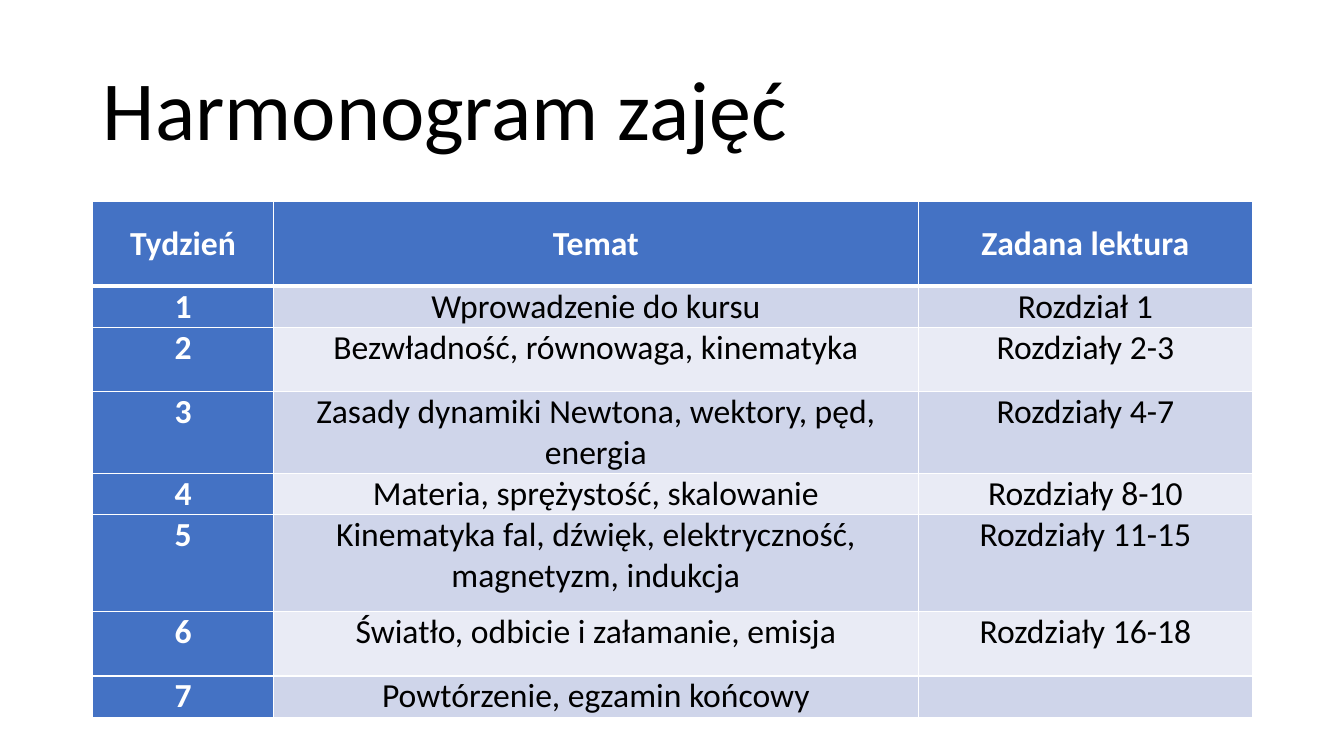
import pptx
import pptx.dml.color
import pptx.enum.text
import pptx.oxml
import pptx.oxml.ns
import pptx.util

Inches = pptx.util.Inches
RGBColor = pptx.dml.color.RGBColor
Anchor = pptx.enum.text.MSO_ANCHOR
Align = pptx.enum.text.PP_ALIGN

BLACK = RGBColor(0x00, 0x00, 0x00)
WHITE = RGBColor(0xFF, 0xFF, 0xFF)
BLUE = RGBColor(0x44, 0x72, 0xC4)
BAND_DARK = RGBColor(0xCF, 0xD5, 0xEA)
BAND_LIGHT = RGBColor(0xE9, 0xEB, 0xF5)

COLUMN_WIDTHS = [1.79, 6.4, 3.31]
ROW_HEIGHTS = [0.84, 0.35, 0.64, 0.64, 0.35, 0.96, 0.64, 0.35]
HEADER = ("Tydzień", "Temat", "Zadana lektura")
TOPICS = [
    ("Wprowadzenie do kursu", "Rozdział 1"),
    ("Bezwładność, równowaga, kinematyka", "Rozdziały 2-3"),
    ("Zasady dynamiki Newtona, wektory, pęd, energia", "Rozdziały 4-7"),
    ("Materia, sprężystość, skalowanie", "Rozdziały 8-10"),
    ("Kinematyka fal, dźwięk, elektryczność, magnetyzm, indukcja", "Rozdziały 11-15"),
    ("Światło, odbicie i załamanie, emisja", "Rozdziały 16-18"),
    ("Powtórzenie, egzamin końcowy", ""),
]


def write_text(text, *, frame, size, font="Calibri", color=BLACK, bold=False,
               align=Align.LEFT, line_spacing=1.0):
    paragraph = frame.paragraphs[0]
    paragraph.alignment = align
    paragraph.line_spacing = line_spacing
    if text:
        run = paragraph.add_run()
        run.text = text
        run.font.name = font
        run.font.size = pptx.util.Pt(size)
        run.font.bold = bold
        run.font.color.rgb = color


class ScheduleSlide:
    """Holds the text sizes and the slide, and adds its title and table."""

    title_size = 60
    table_size = 24

    def __init__(self, presentation):
        self.slide = presentation.slides.add_slide(presentation.slide_layouts[5])

    def add_title(self, text, left, top, width, height):
        title = self.slide.shapes.title
        title.left, title.top = Inches(left), Inches(top)
        title.width, title.height = Inches(width), Inches(height)
        frame = title.text_frame
        frame.word_wrap = True
        frame.auto_size = pptx.enum.text.MSO_AUTO_SIZE.NONE
        frame.vertical_anchor = Anchor.MIDDLE
        write_text(text, frame=frame, size=self.title_size, line_spacing=0.9)

    def add_border(self, cell, side, width):
        properties = cell._tc.get_or_add_tcPr()
        properties.append(pptx.oxml.parse_xml(
            f'<a:ln{side} {pptx.oxml.ns.nsdecls("a")} w="{pptx.util.Pt(width)}">'
            f'<a:solidFill><a:srgbClr val="{WHITE}"/></a:solidFill></a:ln{side}>'))

    def format_cell(self, cell, text, row, column):
        is_header = row == 0
        is_heading = is_header or column == 0
        cell.margin_left = cell.margin_right = Inches(0.07)
        cell.margin_top = cell.margin_bottom = 0
        cell.vertical_anchor = Anchor.MIDDLE if is_header else Anchor.TOP
        write_text(text, frame=cell.text_frame, size=self.table_size,
                   color=WHITE if is_heading else BLACK, bold=is_heading,
                   align=Align.CENTER)
        widths = {"L": 1, "R": 1, "T": 3 if row == 1 else 1, "B": 3 if is_header else 1}
        for side, width in widths.items():
            self.add_border(cell, side, width)
        band = BAND_DARK if row % 2 else BAND_LIGHT
        cell.fill.solid()
        cell.fill.fore_color.rgb = BLUE if is_heading else band

    def add_table(self, rows, left, top):
        table = self.slide.shapes.add_table(
            len(rows), len(COLUMN_WIDTHS), Inches(left), Inches(top),
            Inches(sum(COLUMN_WIDTHS)), Inches(sum(ROW_HEIGHTS))).table
        table.first_col = True
        for column, width in zip(table.columns, COLUMN_WIDTHS):
            column.width = Inches(width)
        for table_row, height in zip(table.rows, ROW_HEIGHTS):
            table_row.height = Inches(height)
        for row, texts in enumerate(rows):
            for column, text in enumerate(texts):
                self.format_cell(table.cell(row, column), text, row, column)


def main():
    presentation = pptx.Presentation()
    presentation.slide_width = Inches(13.33)
    presentation.slide_height = Inches(7.5)
    schedule = ScheduleSlide(presentation)
    schedule.add_title("Harmonogram zajęć", 0.92, 0.4, 11.5, 1.45)
    weeks = [(str(week), *topic) for week, topic in enumerate(TOPICS, start=1)]
    schedule.add_table([HEADER, *weeks], 0.92, 2)
    presentation.save("out.pptx")


if __name__ == "__main__":
    main()
